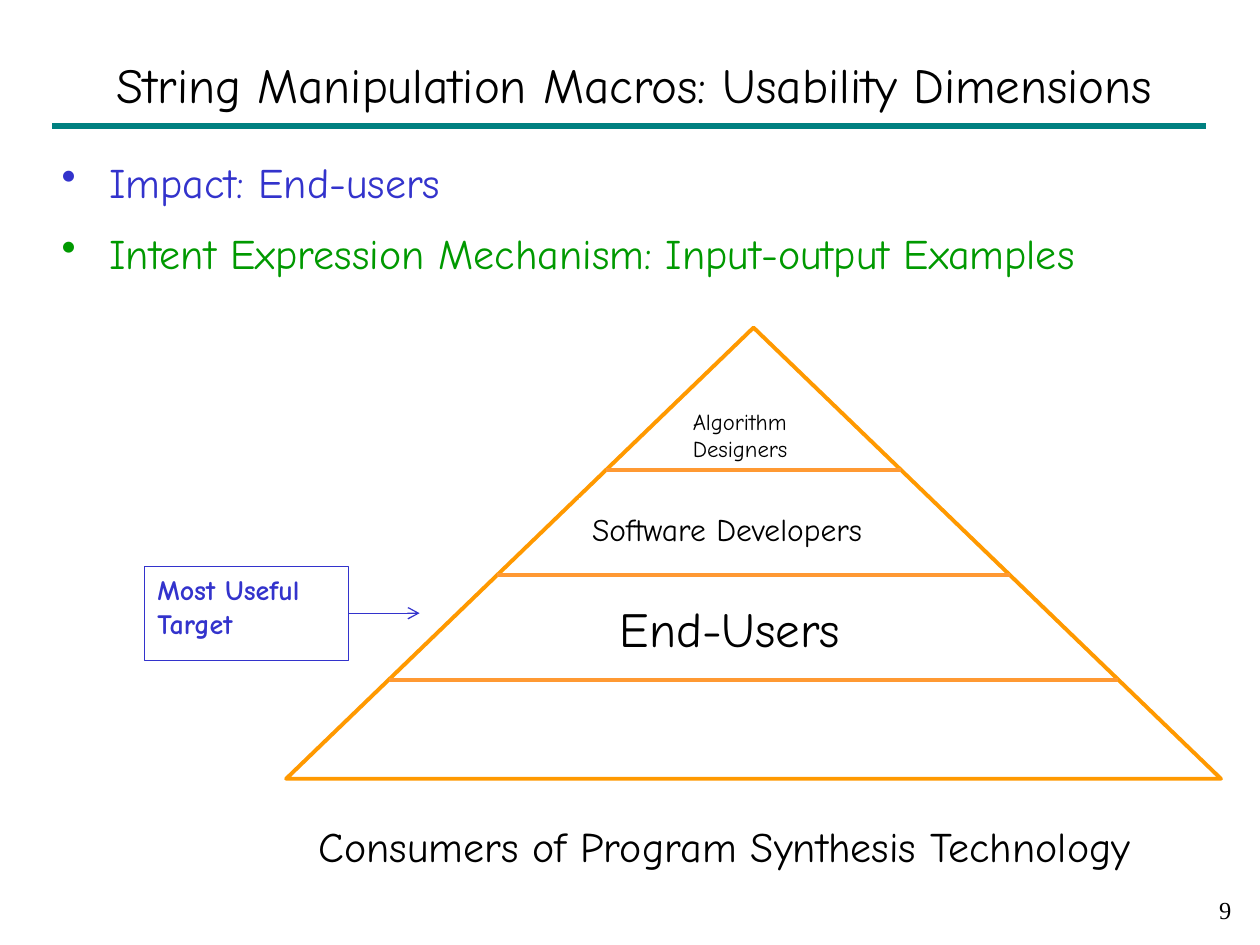
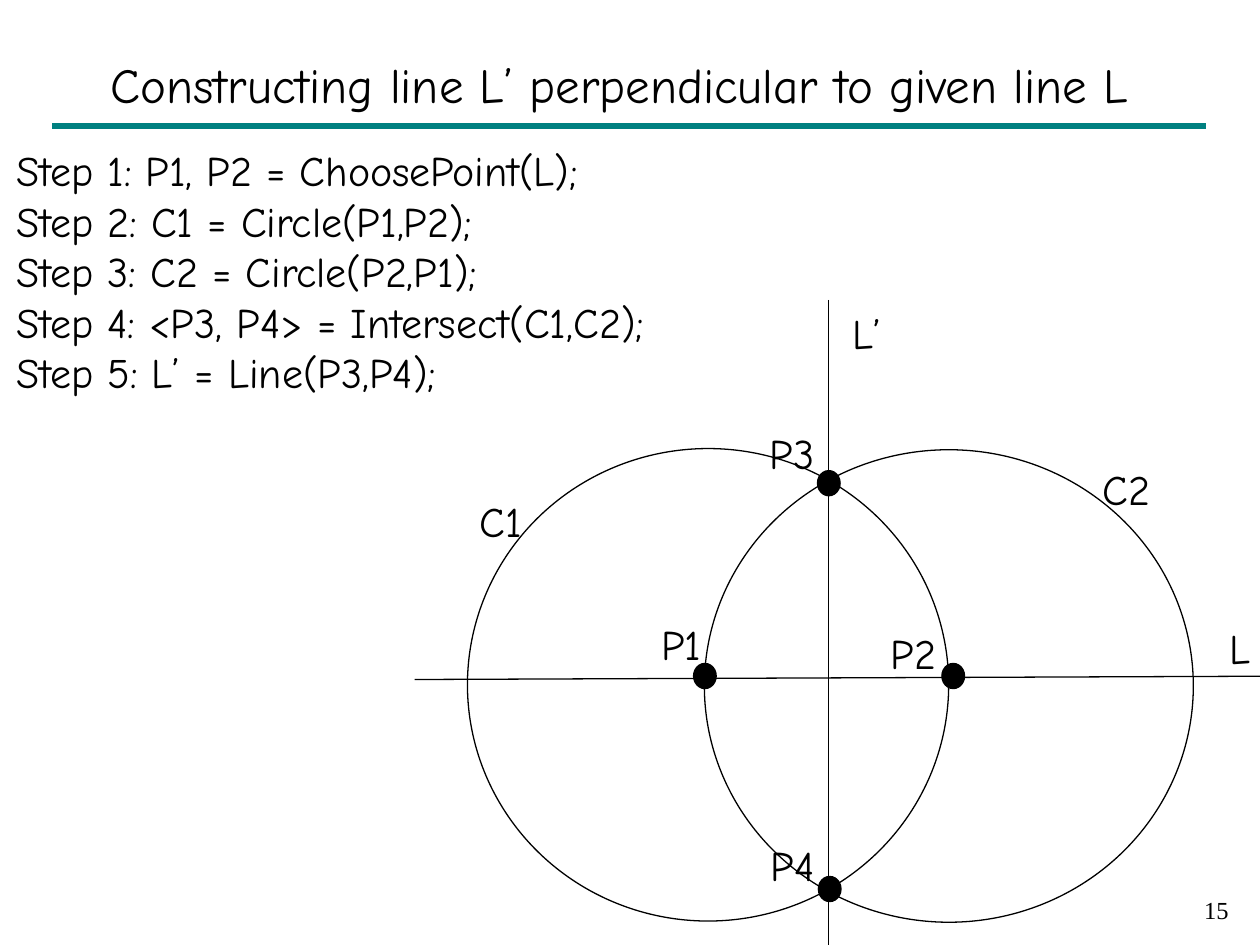
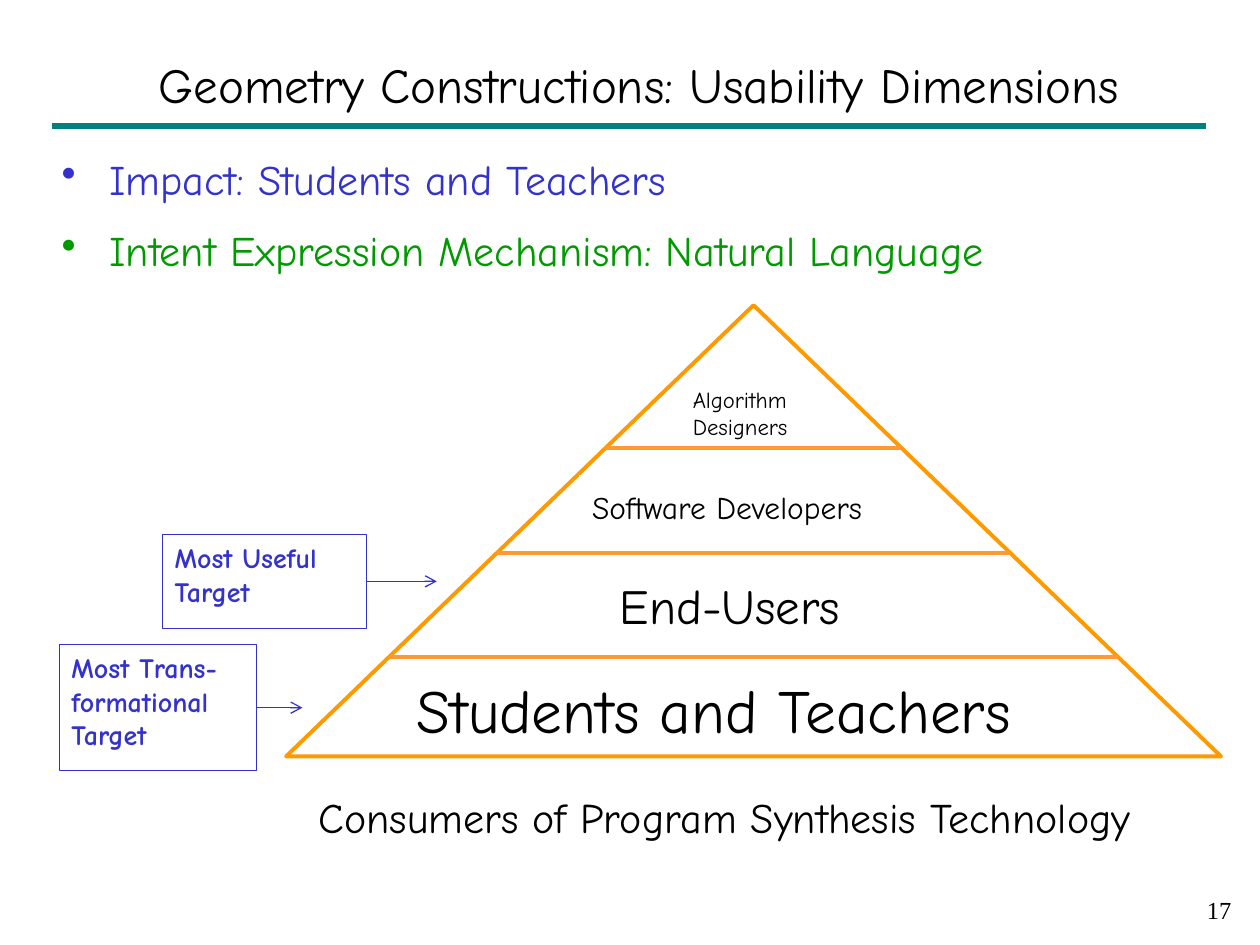
from dataclasses import dataclass

from lxml.etree import SubElement
from pptx import Presentation
from pptx.dml.color import RGBColor
from pptx.enum.shapes import MSO_CONNECTOR, MSO_SHAPE as SHAPE
from pptx.enum.text import MSO_ANCHOR as ANCHOR, PP_ALIGN as ALIGN
from pptx.oxml.ns import qn
from pptx.util import Pt

BLACK, WHITE, TEAL = "000000", "FFFFFF", "008080"
BLUE, GREEN = "3333CC", "009900"
ORANGE, LIGHT_ORANGE = "FF9900", "FF9933"
BODY_FONT, NUMBER_FONT = "Comic Neue", "Times New Roman"
BULLET_INDENT = 27.4

APEX_X, PYRAMID_W, PYRAMID_H = 430.6, 534.2, 257.8
FIRST_RULE, RULE_GAP, RULE_COUNT = 81.6, 59.8, 3
DOT_W, DOT_H = 13.7, 15.1


@dataclass(frozen=True)
class Box:
    x: float
    y: float
    w: float
    h: float

    def points(self) -> tuple:
        return Pt(self.x), Pt(self.y), Pt(self.w), Pt(self.h)


@dataclass(frozen=True)
class Tier:
    """A pyramid label; its box is measured from the slide's left and the apex."""
    text: str
    box: Box
    size: float
    line_spacing: float = 1.0


@dataclass(frozen=True)
class Callout:
    text: str
    box: Box
    tip_x: float


@dataclass(frozen=True)
class Label:
    text: str
    x: float
    y: float


TIERS = (
    Tier("End-Users", Box(347, 151.2, 166.3, 51.1), 28),
    Tier("Algorithm\nDesigners", Box(388.8, 42.2, 74.9, 46.8), 13),
    Tier("Software Developers", Box(331.2, 97.5, 195.8, 44.6), 18, 1.15),
)
STUDENTS_TIER = Tier("Students and Teachers", Box(231.1, 206, 398.9, 41.8), 35)

CIRCLES = (Box(267.1, 256.3, 275, 270), Box(402.5, 257, 279.4, 270))
DOT_CENTRES = ((402.8, 386.3), (544.7, 386.3), (474.1, 508), (473.6, 276.1))
LABELS = (
    Label("P1", 370.8, 349.9), Label("P2", 501.8, 355),
    Label("P3", 432.7, 240.5), Label("P4", 433.4, 475.9),
    Label("C1", 267.1, 279.4), Label("C2", 622.8, 261.4),
    Label("L", 695.5, 352.1), Label("L’", 480.2, 172.1),
)
STEPS = """Step 1: P1, P2 = ChoosePoint(L);
Step 2: C1 = Circle(P1,P2);
Step 3: C2 = Circle(P2,P1);
Step 4: <P3, P4> = Intersect(C1,C2);
Step 5: L’ = Line(P3,P4);"""


def rgb(value: str) -> RGBColor:
    return RGBColor.from_string(value)


def write(sp, text: str, *, size: float = 24, colors: tuple = (BLACK,),
          font: str = BODY_FONT, bold: bool = False, align=ALIGN.LEFT,
          anchor=ANCHOR.TOP, line_spacing: float = 1.0, gap: float = 0,
          bullet: str = "") -> None:
    """Write one paragraph per line of text, taking the colours in turn."""
    tf = sp.text_frame
    tf.word_wrap = True
    tf.vertical_anchor = anchor
    for i, line in enumerate(text.split("\n")):
        p = tf.add_paragraph() if i else tf.paragraphs[0]
        p.alignment = align
        p.line_spacing = line_spacing
        p.space_before = Pt(gap if i else 0)
        if bullet:
            props = p._p.get_or_add_pPr()
            props.set("marL", str(Pt(BULLET_INDENT)))
            props.set("indent", str(-Pt(BULLET_INDENT)))
            SubElement(props, qn("a:buChar")).set("char", bullet)
        r = p.add_run()
        r.text = line
        r.font.size = Pt(size)
        r.font.name = font
        r.font.bold = bold
        r.font.color.rgb = rgb(colors[i % len(colors)])


def add_text(s, text: str, box: Box, **fmt) -> None:
    write(s.shapes.add_textbox(*box.points()), text, **fmt)


def add_shape(s, kind, box: Box, fill: str = "", line: str = "", width: float = 0.5):
    sp = s.shapes.add_shape(kind, *box.points())
    sp.shadow.inherit = False
    if fill:
        sp.fill.solid()
        sp.fill.fore_color.rgb = rgb(fill)
    else:
        sp.fill.background()
    if line:
        sp.line.color.rgb = rgb(line)
        sp.line.width = Pt(width)
    else:
        sp.line.fill.background()
    return sp


def add_line(s, x1: float, y1: float, x2: float, y2: float, color: str = BLACK,
             width: float = 0.75, arrow: bool = False):
    cx = s.shapes.add_connector(MSO_CONNECTOR.STRAIGHT, Pt(x1), Pt(y1), Pt(x2), Pt(y2))
    cx.line.color.rgb = rgb(color)
    cx.line.width = Pt(width)
    if arrow:
        SubElement(cx.line._get_or_add_ln(), qn("a:tailEnd")).set("type", "arrow")
    SubElement(cx._element.spPr, qn("a:effectLst"))
    return cx


def add_slide(prs, title: str, title_x: float, title_w: float, number: int,
              number_x: float = 560.9):
    s = prs.slides.add_slide(prs.slide_layouts[6])
    add_line(s, 30, 72, 689, 72, TEAL, 4)
    add_text(s, title, Box(title_x, 23.8, title_w, 48.2), size=28,
             align=ALIGN.CENTER, anchor=ANCHOR.MIDDLE)
    add_text(s, str(number), Box(number_x, 507.6, 149.8, 30.2), size=14,
             font=NUMBER_FONT, align=ALIGN.RIGHT)
    return s


def add_pyramid(s, top: float, caption_y: float, tiers: tuple) -> None:
    add_shape(s, SHAPE.ISOSCELES_TRIANGLE,
              Box(APEX_X - PYRAMID_W / 2, top, PYRAMID_W, PYRAMID_H),
              WHITE, ORANGE, 2.25)
    for tier in tiers:
        box = Box(tier.box.x, top + tier.box.y, tier.box.w, tier.box.h)
        sp = add_shape(s, SHAPE.RECTANGLE, box, WHITE, WHITE)
        write(sp, tier.text, size=tier.size, line_spacing=tier.line_spacing)
    for i in range(RULE_COUNT):
        depth = FIRST_RULE + i * RULE_GAP
        half = PYRAMID_W / 2 * depth / PYRAMID_H
        add_line(s, APEX_X - half, top + depth, APEX_X + half, top + depth,
                 LIGHT_ORANGE, 2.25)
    add_text(s, "Consumers of Program Synthesis Technology",
             Box(175, caption_y, 535.7, 36))


def add_callout(s, callout: Callout) -> None:
    box = callout.box
    sp = add_shape(s, SHAPE.RECTANGLE, box, WHITE, BLUE)
    write(sp, callout.text, size=16, colors=(BLUE,), bold=True)
    mid_y = box.y + box.h / 2
    cx = add_line(s, box.x + box.w, mid_y, callout.tip_x, mid_y, BLUE, arrow=True)
    cx.begin_connect(sp, 3)


def add_usability_slide(prs, title: str, title_x: float, title_w: float, number: int,
                        bullets: str, bullets_y: float, top: float, caption_y: float,
                        tiers: tuple, callouts: tuple) -> None:
    s = add_slide(prs, title, title_x, title_w, number)
    add_pyramid(s, top, caption_y, tiers)
    add_text(s, bullets, Box(28.1, bullets_y, 650, 80), colors=(BLUE, GREEN),
             gap=12, bullet="•")
    for callout in callouts:
        add_callout(s, callout)


def add_construction_slide(prs) -> None:
    s = add_slide(prs, "Constructing line L’ perpendicular to given line L",
                  12.2, 683.3, 15, 559.4)
    add_line(s, 236.9, 388.3, 727.2, 386.4)
    for x, y in DOT_CENTRES:
        add_shape(s, SHAPE.FLOWCHART_CONNECTOR,
                  Box(x - DOT_W / 2, y - DOT_H / 2, DOT_W, DOT_H), BLACK)
    for circle in CIRCLES:
        add_shape(s, SHAPE.OVAL, circle, line=BLACK, width=0.75)
    add_line(s, 473.6, 171.4, 473.6, 583.2)
    for label in LABELS:
        add_text(s, label.text, Box(label.x, label.y, 49.7, 36))
    add_text(s, STEPS, Box(2.2, 79.2, 476.6, 152.6))


def main() -> None:
    prs = Presentation()
    prs.slide_width, prs.slide_height = Pt(720), Pt(540)
    add_usability_slide(
        prs, "String Manipulation Macros: Usability Dimensions", 20.9, 683.3, 9,
        "Impact: End-users\nIntent Expression Mechanism: Input-output Examples",
        85.7, 187.2, 465.1, TIERS,
        (Callout("Most Useful Target", Box(82.8, 323.6, 116.6, 53.6), 239.8),))
    add_construction_slide(prs)
    add_usability_slide(
        prs, "Geometry Constructions: Usability Dimensions", 43.2, 643.7, 17,
        "Impact: Students and Teachers\nIntent Expression Mechanism: Natural Language",
        84.2, 174.4, 448.6, (STUDENTS_TIER, *TIERS),
        (Callout("Most Trans-formational Target", Box(33.8, 368.4, 113, 72), 172.8),
         Callout("Most Useful Target", Box(92.7, 305.4, 116.6, 53.6), 249.6)))
    prs.save("out.pptx")


if __name__ == "__main__":
    main()
